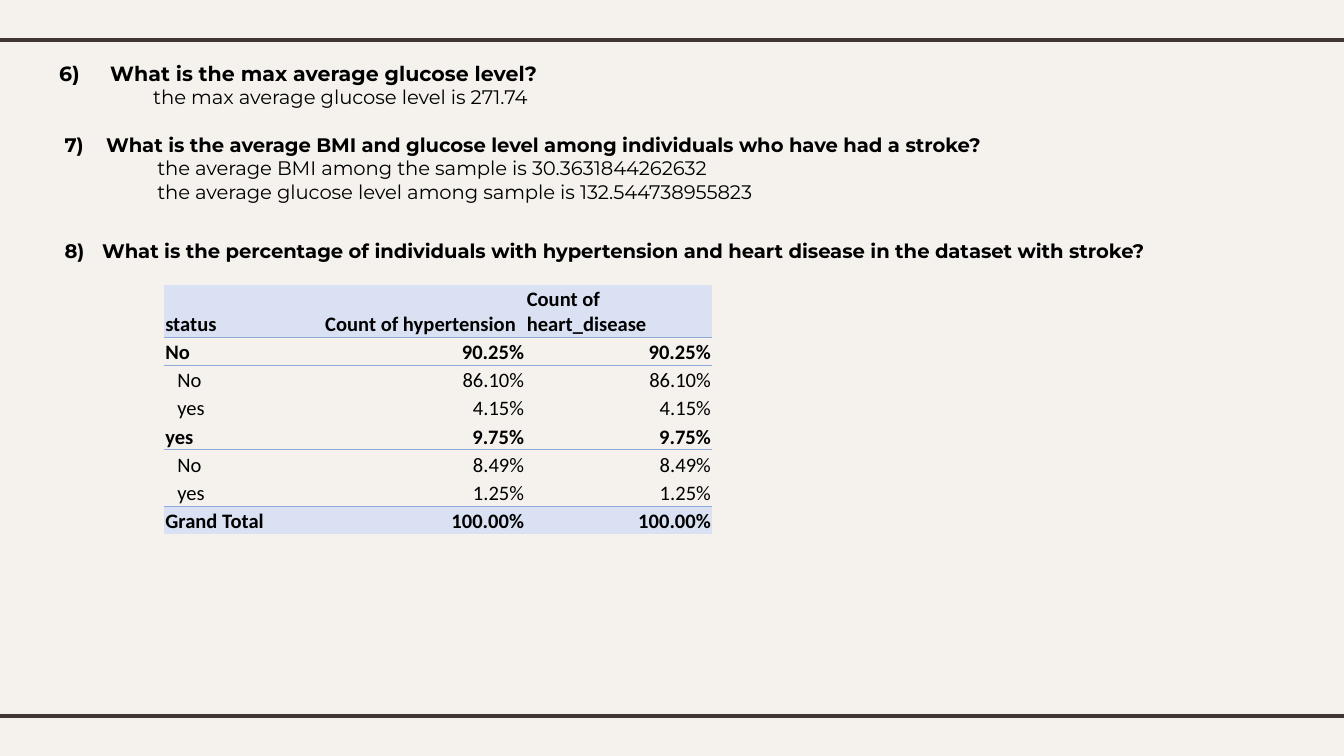
from lxml.etree import SubElement
from pptx import Presentation
from pptx.dml.color import RGBColor
from pptx.enum.shapes import MSO_CONNECTOR
from pptx.enum.text import MSO_ANCHOR, MSO_AUTO_SIZE, PP_ALIGN
from pptx.oxml.ns import qn
from pptx.util import Inches, Pt

BACKGROUND = RGBColor(0xF5, 0xF2, 0xEE)
RULE = RGBColor(0x3F, 0x35, 0x33)
TEXT = RGBColor(0, 0, 0)
BAND = RGBColor(0xD9, 0xE1, 0xF2)
BORDER = RGBColor(0x8E, 0xA9, 0xDB)
NO_STYLE = "{2D5ABB26-0587-4C30-8999-92F81FD0307C}"

# Text, size, bold, left margin, first-line indent, space before
PARAGRAPHS = [
    ("6)\tWhat is the max average glucose level?", 11, True, 0.5, -0.38, 0),
    ("the max average glucose level is 271.74", 10.5, False, 0.82, 0, 0),
    ("7)\tWhat is the average BMI and glucose level among individuals "
     "who have had a stroke?", 10.5, True, 0.47, -0.31, 12.8),
    ("the average BMI among the sample is 30.3631844262632", 10.5, False, 0.85, 0, 0),
    ("the average glucose level among sample is 132.544738955823", 10.5, False, 0.85, 0, 0),
    ("8)\tWhat is the percentage of individuals with hypertension and heart disease "
     "in the dataset with stroke?", 10.5, True, 0.44, -0.28, 19.2),
]

# Row kind, then the cells
ROWS = [
    ("band", "status", "Count of hypertension", "Count of heart_disease"),
    ("group", "No", "90.25%", "90.25%"),
    ("item", "No", "86.10%", "86.10%"),
    ("item", "yes", "4.15%", "4.15%"),
    ("group", "yes", "9.75%", "9.75%"),
    ("item", "No", "8.49%", "8.49%"),
    ("item", "yes", "1.25%", "1.25%"),
    ("band", "Grand Total", "100.00%", "100.00%"),
]
COLUMN_WIDTHS = [1.19, 1.5, 1.39]
HEADER_HEIGHT, ROW_HEIGHT = 0.38, 0.21
RULED_ROWS = {0, 1, 4, 6}  # rows with a line below them


class SlideBuilder:
    body_font = "Montserrat"
    table_font = "Calibri"

    def __init__(self, slide):
        self.slide = slide
        slide.background.fill.solid()
        slide.background.fill.fore_color.rgb = BACKGROUND
        title = slide.shapes.title
        title.element.getparent().remove(title.element)

    def format_font(self, font, name, size, bold):
        font.name, font.size, font.bold = name, Pt(size), bold
        font.color.rgb = TEXT

    def rule(self, top):
        line = self.slide.shapes.add_connector(
            MSO_CONNECTOR.STRAIGHT, Inches(-0.08), Inches(top), Inches(10.08), Inches(top))
        line.line.color.rgb = RULE
        line.line.width = Pt(2.25)
        SubElement(line.element.spPr, qn("a:effectLst"))

    def body(self, left, top, width, height, paragraphs):
        shape = self.slide.placeholders[1]
        shape.left, shape.top = Inches(left), Inches(top)
        shape.width, shape.height = Inches(width), Inches(height)
        text_frame = shape.text_frame
        text_frame.auto_size = MSO_AUTO_SIZE.NONE
        text_frame.word_wrap = True
        text_frame.vertical_anchor = MSO_ANCHOR.TOP
        text_frame.margin_left = text_frame.margin_right = Inches(0.1)
        text_frame.margin_top = text_frame.margin_bottom = Inches(0.1)
        text_frame.text = "\n".join(row[0] for row in paragraphs)
        for paragraph, row in zip(text_frame.paragraphs, paragraphs):
            _, size, bold, margin, indent, space = row
            paragraph.space_before = Pt(space)
            properties = paragraph._p.get_or_add_pPr()
            properties.set("marL", str(Inches(margin)))
            properties.set("indent", str(Inches(indent)))
            SubElement(properties, qn("a:buNone"))
            for run in paragraph.runs:
                self.format_font(run.font, self.body_font, size, bold)

    def border(self, cell, side, visible):
        line = SubElement(cell._tc.get_or_add_tcPr(), qn(f"a:{side}"), w=str(Pt(0.5)))
        if visible:
            fill = SubElement(line, qn("a:solidFill"))
            SubElement(fill, qn("a:srgbClr"), val=str(BORDER))
        else:
            SubElement(line, qn("a:noFill"))

    def table(self, left, top, rows):
        height = HEADER_HEIGHT + ROW_HEIGHT * (len(rows) - 1)
        table = self.slide.shapes.add_table(
            len(rows), len(COLUMN_WIDTHS), Inches(left), Inches(top),
            Inches(sum(COLUMN_WIDTHS)), Inches(height)).table
        table.first_row = table.horz_banding = False
        table._tbl.tblPr.find(qn("a:tableStyleId")).text = NO_STYLE
        for column, width in zip(table.columns, COLUMN_WIDTHS):
            column.width = Inches(width)
        for index, (kind, *values) in enumerate(rows):
            table.rows[index].height = Inches(ROW_HEIGHT if index else HEADER_HEIGHT)
            for position, value in enumerate(values):
                self.cell(table.cell(index, position), value, kind, index, position)

    def cell(self, cell, value, kind, row, column):
        # Borders come before the fill
        self.border(cell, "lnL", False)
        self.border(cell, "lnR", False)
        self.border(cell, "lnT", row - 1 in RULED_ROWS)
        self.border(cell, "lnB", row in RULED_ROWS)
        if kind == "band":
            cell.fill.solid()
            cell.fill.fore_color.rgb = BAND
        else:
            cell.fill.background()
        cell.vertical_anchor = MSO_ANCHOR.BOTTOM
        cell.margin_left = Inches(0.1 if kind == "item" and column == 0 else 0.01)
        cell.margin_right = cell.margin_top = Inches(0.01)
        cell.margin_bottom = 0
        cell.text_frame.text = value
        paragraph = cell.text_frame.paragraphs[0]
        paragraph.alignment = PP_ALIGN.RIGHT if row and column else PP_ALIGN.LEFT
        self.format_font(paragraph.runs[0].font, self.table_font, 11, kind != "item")


def main():
    presentation = Presentation()
    # Widescreen, 16 to 9
    presentation.slide_width = Inches(10)
    presentation.slide_height = Inches(10 * 9 / 16)
    builder = SlideBuilder(presentation.slides.add_slide(presentation.slide_layouts[1]))

    # Frame lines
    for top in (0.3, 5.33):
        builder.rule(top)

    # Questions and answers
    builder.body(0.22, 0.35, 9.65, 4.77, PARAGRAPHS)

    # Percentages
    builder.table(1.22, 2.12, ROWS)

    presentation.save("out.pptx")


if __name__ == "__main__":
    main()
